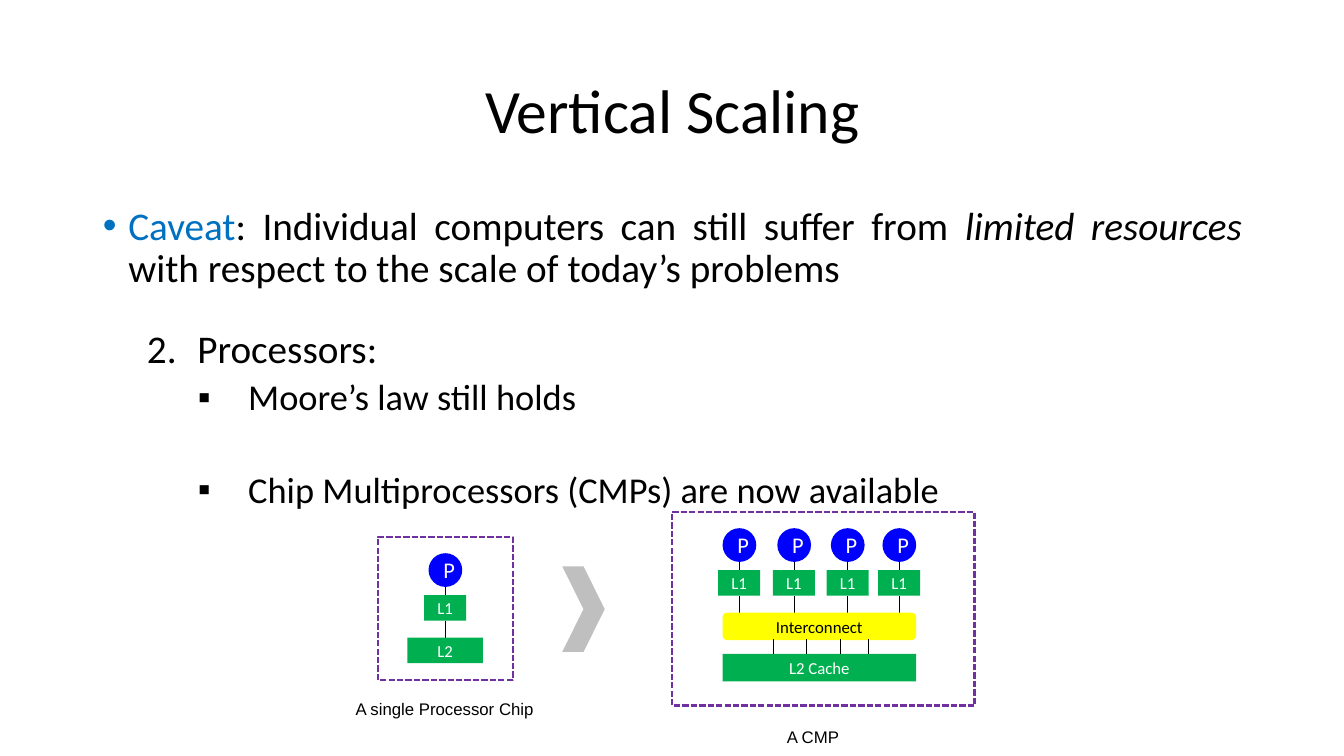
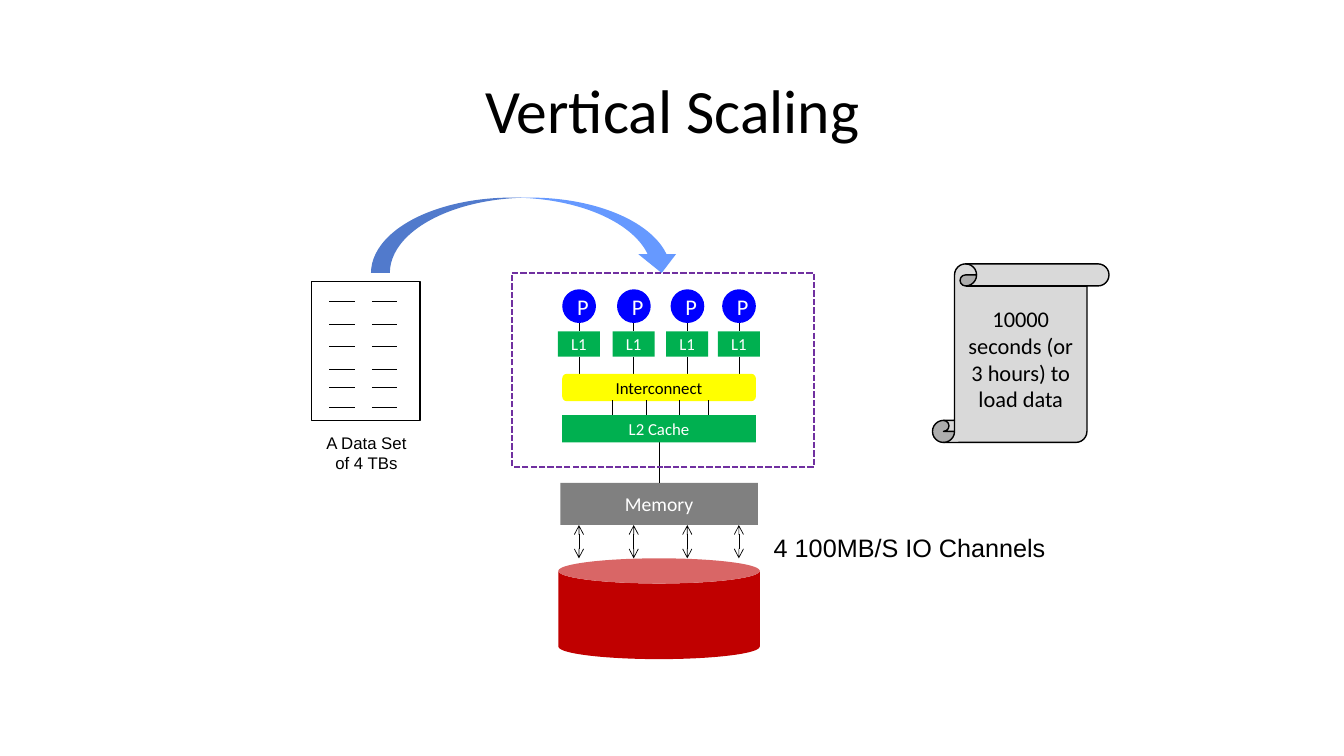
from lxml import etree
from pptx import Presentation
from pptx import util as u
from pptx.dml.color import RGBColor
from pptx.enum import dml, shapes, text
from pptx.oxml.ns import qn

COLOURS = {
    "black": "000000", "white": "FFFFFF", "caveat": "0070C0", "chip": "7030A0",
    "processor": "0000FF", "cache": "00B050", "interconnect": "FFFF00",
    "chevron": "BFBFBF", "disk": "C00000", "transfer": "6699FF",
    "scroll": "D9D9D9", "memory": "808080",
}
HEADING = "Vertical Scaling"
BULLET = ("buChar", {"char": "•"})
SQUARE = ("buChar", {"char": "▪"})
SECOND = ("buAutoNum", {"type": "arabicPeriod", "startAt": "2"})

POINTS = [
    dict(level=0, left=0.64, hang=0.64, before=0, size=28, bullet=BULLET, runs=[
        ("Caveat", "caveat", False),
        (": Individual computers can still suffer from ", "black", False),
        ("limited resources ", "black", True),
        ("with respect to the scale of today’s problems", "black", False)]),
    dict(level=1, left=2.38, hang=1.27, before=27.5, size=28, bullet=SECOND,
         runs=[("Processors:", "black", False)]),
    dict(level=2, left=3.66, hang=1.27, before=5, size=26, bullet=SQUARE,
         runs=[("Moore’s law still holds", "black", False)]),
    dict(level=2, left=3.66, hang=1.27, before=38, size=26, bullet=SQUARE,
         runs=[("Chip Multiprocessors (CMPs) are now available", "black", False)]),
]
CHIP_CAPTIONS = [
    (["A single Processor Chip"], (8.71, 17.48, 5.03, 0.76)),
    (["A CMP"], (19.58, 18.19, 1.85, 0.76)),
]
DATA_CAPTION = ["A Data Set", "of 4 TBs"]
CHANNELS = ["4 100MB/S IO Channels"]
LOAD_TIME = "10000 seconds (or 3 hours) to load data"

CORE_CENTRES = [1.69, 3.07, 4.42, 5.72]
CACHE_LINKS = [2.54, 3.38, 4.23, 4.95]
RECORD_COLUMNS = [8.3, 9.37]
RECORD_ROWS = [7.6, 8.18, 8.74, 9.3, 9.75, 10.26]

SHAPE = shapes.MSO_SHAPE
ALIGN = text.PP_ALIGN


def colour(name):
    return RGBColor.from_string(COLOURS[name])


def box(place):
    return [u.Cm(value) for value in place]


def style(run, size, name="black", face="Calibri", italic=False):
    run.font.size = u.Pt(size)
    run.font.name = face
    run.font.color.rgb = colour(name)
    run.font.italic = italic


def move(placeholder, place):
    (placeholder.left, placeholder.top,
     placeholder.width, placeholder.height) = box(place)
    placeholder.text_frame.auto_size = text.MSO_AUTO_SIZE.NONE


def new_slide(deck, layout):
    slide = deck.slides.add_slide(deck.slide_layouts[layout])
    title = slide.shapes.title
    move(title, (2.34, 1.02, 29.21, 3.68))
    title.text_frame.text = HEADING
    title.text_frame.vertical_anchor = text.MSO_ANCHOR.MIDDLE
    heading = title.text_frame.paragraphs[0]
    heading.alignment = ALIGN.CENTER
    heading.line_spacing = 0.9
    style(heading.runs[0], 44)
    return slide


def block(slide, kind, place, fill=None, line=None, width=1, dashed=False,
          label="", size=12, ink="white"):
    shape = slide.shapes.add_shape(kind, *box(place))
    shape.shadow.inherit = False
    if fill:
        shape.fill.solid()
        shape.fill.fore_color.rgb = colour(fill)
    else:
        shape.fill.background()
    if line:
        shape.line.color.rgb = colour(line)
        shape.line.width = u.Pt(width)
        if dashed:
            shape.line.dash_style = dml.MSO_LINE.SQUARE_DOT
    else:
        shape.line.fill.background()
    if label:
        shape.text_frame.text = label
        paragraph = shape.text_frame.paragraphs[0]
        paragraph.alignment = ALIGN.CENTER
        style(paragraph.runs[0], size, ink)


def link(slide, x1, y1, x2, y2, arrows=False):
    line = slide.shapes.add_connector(
        shapes.MSO_CONNECTOR.STRAIGHT, *box((x1, y1, x2, y2)))
    line.line.color.rgb = colour("black")
    line.line.width = u.Pt(0.5)
    if arrows:
        for end in ("a:headEnd", "a:tailEnd"):
            etree.SubElement(line.line._ln, qn(end), type="arrow")
    etree.SubElement(line._element.spPr, qn("a:effectLst"))


def caption(slide, lines, place, size=12, align=ALIGN.LEFT):
    frame = slide.shapes.add_textbox(*box(place)).text_frame
    frame.word_wrap = False
    frame.auto_size = text.MSO_AUTO_SIZE.SHAPE_TO_FIT_TEXT
    frame.text = "\n".join(lines)
    for paragraph in frame.paragraphs:
        paragraph.alignment = align
        style(paragraph.runs[0], size, face="Arial")


def chip_outline(slide, left, top, width, height):
    block(slide, SHAPE.RECTANGLE, (left, top, width, height),
          line="chip", width=1.5, dashed=True)


def core(slide, centre, top):
    block(slide, SHAPE.OVAL, (centre - 0.42, top + 0.41, 0.85, 0.85),
          "processor", label="P", size=16)
    link(slide, centre, top + 1.26, centre, top + 1.47)
    block(slide, SHAPE.RECTANGLE, (centre - 0.53, top + 1.47, 1.06, 0.64),
          "cache", label="L1")
    link(slide, centre, top + 2.11, centre, top + 2.54)


def single_chip(slide, left, top):
    chip_outline(slide, left, top, 3.39, 3.61)
    core(slide, left + 1.69, top)
    block(slide, SHAPE.RECTANGLE, (left + 0.74, top + 2.54, 1.9, 0.64),
          "cache", label="L2")


def multiprocessor(slide, left, top):
    chip_outline(slide, left, top, 7.62, 4.88)
    for centre in CORE_CENTRES:
        core(slide, left + centre, top)
    block(slide, SHAPE.ROUNDED_RECTANGLE, (left + 1.27, top + 2.54, 4.88, 0.69),
          "interconnect", label="Interconnect", ink="black")
    block(slide, SHAPE.RECTANGLE, (left + 1.27, top + 3.58, 4.88, 0.69),
          "cache", label="L2 Cache")
    for x in CACHE_LINKS:
        link(slide, left + x, top + 3.2, left + x, top + 3.57)


def write_points(body):
    move(body, (2.34, 5.08, 29.21, 12.09))
    frame = body.text_frame
    for index, point in enumerate(POINTS):
        paragraph = frame.add_paragraph() if index else frame.paragraphs[0]
        paragraph.level = point["level"]
        paragraph.alignment = ALIGN.JUSTIFY
        properties = paragraph._p.get_or_add_pPr()
        properties.set("marL", str(u.Cm(point["left"])))
        properties.set("indent", str(-u.Cm(point["hang"])))
        tag, settings = point["bullet"]
        etree.SubElement(properties, qn("a:buFont"),
                         typeface="Calibri" if tag == "buAutoNum" else "Arial")
        etree.SubElement(properties, qn("a:" + tag), **settings)
        paragraph.line_spacing = 0.9
        paragraph.space_before = u.Pt(point["before"])
        for words, ink, italic in point["runs"]:
            run = paragraph.add_run()
            run.text = words
            style(run, point["size"], ink, italic=italic)


def processors_slide(deck):
    slide = new_slide(deck, 1)
    write_points(slide.placeholders[1])
    single_chip(slide, 9.53, 13.53)
    block(slide, SHAPE.CHEVRON, (14.17, 14.27, 1.07, 2.16), "chevron")
    multiprocessor(slide, 16.94, 12.9)
    for lines, place in CHIP_CAPTIONS:
        caption(slide, lines, place)


def loading_slide(deck):
    slide = new_slide(deck, 5)
    chip_left, chip_top = 12.9, 6.88

    block(slide, SHAPE.RECTANGLE, (7.85, 7.09, 2.74, 3.51), line="black")
    for y in RECORD_ROWS:
        for x in RECORD_COLUMNS:
            link(slide, x, y, x + 0.64, y)
    caption(slide, DATA_CAPTION, (7.95, 10.77, 2.57, 1.3), align=ALIGN.CENTER)
    block(slide, SHAPE.CURVED_DOWN_ARROW, (9.35, 4.98, 7.8, 1.9), "transfer")

    for centre in CORE_CENTRES:
        x = chip_left + centre
        link(slide, x, 13.23, x, 14.07, arrows=True)
    block(slide, SHAPE.CAN, (14.07, 14.07, 5.08, 2.54), "disk")
    caption(slide, CHANNELS, (19.25, 13.28, 7.42, 1.02), size=18)
    block(slide, SHAPE.RECTANGLE, (14.12, 12.17, 4.98, 1.06),
          "memory", label="Memory", size=14)
    link(slide, 16.61, 11.15, 16.61, 12.17)
    multiprocessor(slide, chip_left, chip_top)
    block(slide, SHAPE.VERTICAL_SCROLL, (23.5, 6.65, 4.45, 4.5), "scroll",
          line="black", label=LOAD_TIME, size=16, ink="black")


def main():
    deck = Presentation()
    deck.slide_width, deck.slide_height = u.Cm(33.87), u.Cm(19.05)
    processors_slide(deck)
    loading_slide(deck)
    deck.save("out.pptx")


if __name__ == "__main__":
    main()
